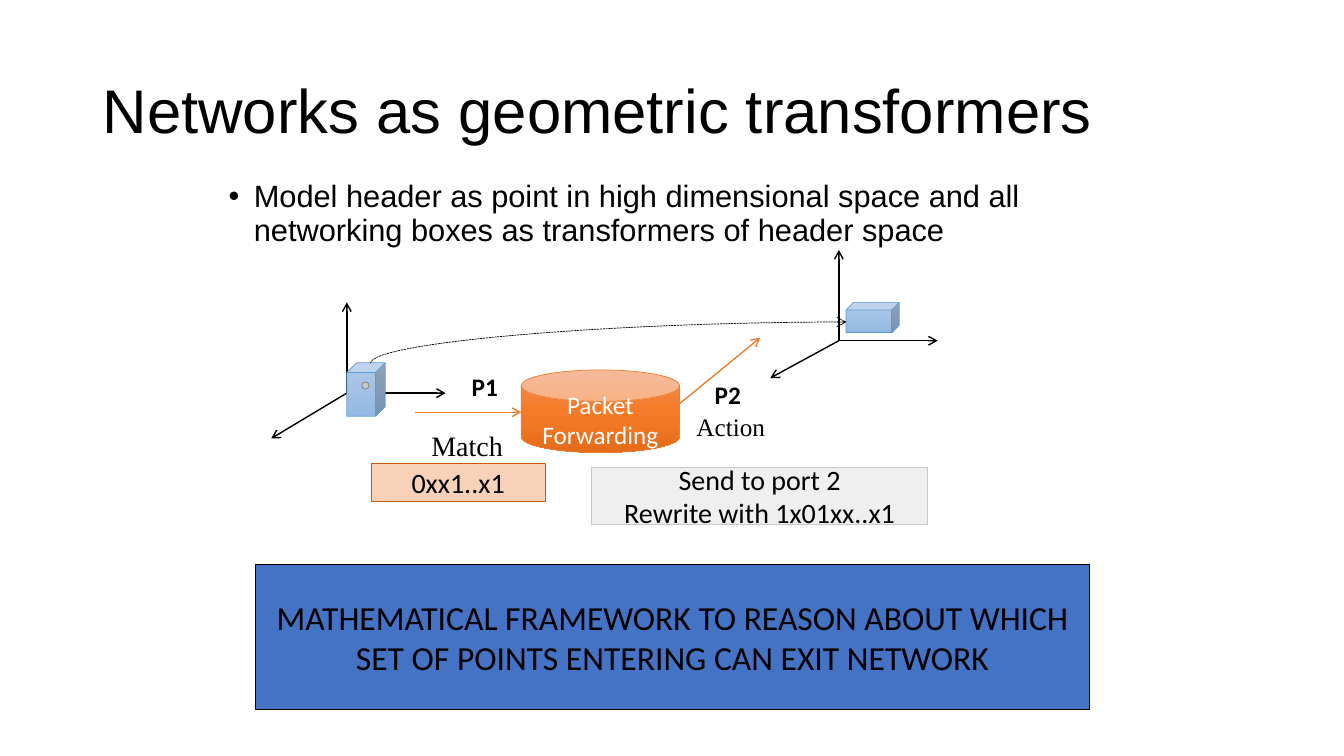
import copy
from dataclasses import dataclass

import pptx
import pptx.dml.color
import pptx.enum.dml
import pptx.enum.shapes
import pptx.enum.text
import pptx.oxml.ns
import pptx.shapes.autoshape
import pptx.shapes.connector
import pptx.slide
import pptx.text.text
import pptx.util
from lxml import etree

RGBColor = pptx.dml.color.RGBColor
Shape = pptx.enum.shapes.MSO_SHAPE
Anchor = pptx.enum.text.MSO_ANCHOR
Align = pptx.enum.text.PP_ALIGN
qn = pptx.oxml.ns.qn

BLACK = RGBColor(0x00, 0x00, 0x00)
WHITE = RGBColor(0xFF, 0xFF, 0xFF)
ORANGE = RGBColor(0xED, 0x7D, 0x31)
RUST = RGBColor(0xC5, 0x5A, 0x11)
PEACH = RGBColor(0xF8, 0xCB, 0xAD)
PALE_GRAY = RGBColor(0xED, 0xED, 0xED)
GRAY = RGBColor(0xC9, 0xC9, 0xC9)
DARK_GRAY = RGBColor(0x7C, 0x7C, 0x7C)
SKY = RGBColor(0x5B, 0x9B, 0xD5)
BLUE = RGBColor(0x44, 0x72, 0xC4)
ORANGE_BLEND = (RGBColor(0xF1, 0x8C, 0x57), RGBColor(0xF6, 0x7B, 0x28), RGBColor(0xE5, 0x6C, 0x19))
SKY_BLEND = (RGBColor(0xB1, 0xCB, 0xE9), RGBColor(0xA3, 0xC1, 0xE5), RGBColor(0x93, 0xB9, 0xE4))

EMU_PER_PX = 9144


@dataclass(frozen=True)
class Area:
    left: int
    top: int
    width: int
    height: int

    def emu(self) -> list[pptx.util.Emu]:
        return [px(n) for n in (self.left, self.top, self.width, self.height)]


@dataclass(frozen=True)
class Label:
    text: str
    size: int
    font: str = "Calibri"
    color: RGBColor = BLACK
    bold: bool = False
    wrap: bool = True


@dataclass(frozen=True)
class Block:
    kind: Shape
    area: Area
    fill: tuple[RGBColor, ...]
    outline: RGBColor
    label: Label | None = None
    weight: float = 0.5
    opacity: int = 100
    adjustment: float | None = None


@dataclass(frozen=True)
class Arrow:
    start: tuple[int, int]
    end: tuple[int, int]
    color: RGBColor = BLACK


@dataclass(frozen=True)
class Axes:
    x: int
    y: int
    slant: tuple[int, int]

    def arrows(self) -> list[Arrow]:
        steps = (self.slant, (0, -90), (98, 0))
        return [Arrow((self.x, self.y), (self.x + dx, self.y + dy)) for dx, dy in steps]


AXES = [Axes(344, 390, (-75, 45)), Axes(832, 338, (-68, 37))]
FLOWS = [Arrow((412, 409), (517, 409), ORANGE), Arrow((671, 403), (754, 335), ORANGE)]
MAPPING = Arrow((624, 576), (583, 104))
BLOCKS = [
    Block(Shape.CAN, Area(517, 367, 157, 82), ORANGE_BLEND, ORANGE,
          Label("Packet\nForwarding", 18, color=WHITE), adjustment=0.381),
    Block(Shape.CUBE, Area(344, 360, 38, 53), SKY_BLEND, SKY),
    Block(Shape.CUBE, Area(839, 300, 53, 30), SKY_BLEND, SKY),
    Block(Shape.RECTANGLE, Area(368, 460, 173, 37), (PEACH,), RUST,
          Label("0xx1..x1", 20), opacity=86),
    Block(Shape.RECTANGLE, Area(587, 464, 333, 56), (PALE_GRAY,), GRAY,
          Label("Send to port 2\nRewrite with 1x01xx..x1", 20), opacity=86),
    Block(Shape.OVAL, Area(359, 379, 7, 7), (GRAY,), DARK_GRAY),
    Block(Shape.RECTANGLE, Area(253, 560, 828, 144), (BLUE,), BLACK,
          Label("MATHEMATICAL FRAMEWORK TO REASON ABOUT WHICH\n"
                "SET OF POINTS ENTERING CAN EXIT NETWORK", 24, wrap=False), weight=0.75),
]
CAPTIONS = [
    (Area(418, 420, 96, 43), Label("Match", 20, "Times New Roman", wrap=False)),
    (Area(681, 403, 94, 39), Label("Action", 18, "Times New Roman", wrap=False)),
    (Area(458, 363, 46, 40), Label("P1", 18, bold=True, wrap=False)),
    (Area(699, 371, 46, 40), Label("P2", 18, bold=True, wrap=False)),
]
TITLE = Label("Networks as geometric transformers", 44, "Arial")
SUMMARY = Label("Model header as point in high dimensional space and all "
                "networking boxes as transformers of header space", 22, "Arial")


def px(length: int) -> pptx.util.Emu:
    return pptx.util.Emu(length * EMU_PER_PX)


def write_label(frame: pptx.text.text.TextFrame, label: Label, align: Align) -> None:
    frame.text = label.text
    frame.word_wrap = label.wrap
    for para in frame.paragraphs:
        para.alignment = align
        for span in para.runs:
            span.font.name = label.font
            span.font.size = pptx.util.Pt(label.size)
            span.font.bold = label.bold
            span.font.color.rgb = label.color


def add_text(page: pptx.slide.Slide, area: Area, label: Label) -> pptx.text.text.TextFrame:
    frame = page.shapes.add_textbox(*area.emu()).text_frame
    write_label(frame, label, Align.LEFT)
    return frame


def paint(shape: pptx.shapes.autoshape.Shape, block: Block) -> None:
    properties = shape._element.spPr
    if len(block.fill) == 1:
        shape.fill.solid()
        shape.fill.fore_color.rgb = block.fill[0]
        if block.opacity < 100:
            color = properties.find(qn("a:solidFill"))[0]
            etree.SubElement(color, qn("a:alpha")).set("val", str(block.opacity * 1000))
    else:
        shape.fill.gradient()
        shape.fill.gradient_angle = 270
        stop_list = properties.find(qn("a:gradFill")).find(qn("a:gsLst"))
        stop_list.insert(1, copy.deepcopy(stop_list[0]))
        for index, (stop, color) in enumerate(zip(shape.fill.gradient_stops, block.fill)):
            stop.color.rgb = color
            stop.position = index / 2


def add_block(page: pptx.slide.Slide, block: Block) -> None:
    shape = page.shapes.add_shape(block.kind, *block.area.emu())
    shape.shadow.inherit = False
    if block.adjustment is not None:
        shape.adjustments[0] = block.adjustment
    paint(shape, block)
    shape.line.color.rgb = block.outline
    shape.line.width = pptx.util.Pt(block.weight)
    if block.label:
        shape.text_frame.vertical_anchor = Anchor.MIDDLE
        write_label(shape.text_frame, block.label, Align.CENTER)


def add_arrow(page: pptx.slide.Slide, arrow: Arrow, weight: float = 1,
              kind: pptx.enum.shapes.MSO_CONNECTOR = pptx.enum.shapes.MSO_CONNECTOR.STRAIGHT,
              ) -> pptx.shapes.connector.Connector:
    ends = [px(n) for n in (*arrow.start, *arrow.end)]
    connector = page.shapes.add_connector(kind, *ends)
    connector.line.color.rgb = arrow.color
    connector.line.width = pptx.util.Pt(weight)
    etree.SubElement(connector.line._get_or_add_ln(), qn("a:tailEnd")).set("type", "arrow")
    etree.SubElement(connector._element.spPr, qn("a:effectLst"))
    return connector


def add_mapping(page: pptx.slide.Slide) -> None:
    curve = add_arrow(page, MAPPING, 0.5, pptx.enum.shapes.MSO_CONNECTOR.CURVE)
    curve.line.dash_style = pptx.enum.dml.MSO_LINE.SQUARE_DOT
    properties = curve._element.spPr
    properties.find(qn("a:xfrm")).set("rot", str(90 * 60000))
    properties.find(qn("a:prstGeom")).set("prst", "curvedConnector2")


def add_heading(page: pptx.slide.Slide) -> None:
    title = add_text(page, Area(92, 40, 1150, 145), TITLE)
    title.vertical_anchor = Anchor.MIDDLE
    title.paragraphs[0].line_spacing = 0.9
    summary = add_text(page, Area(217, 175, 817, 95), SUMMARY).paragraphs[0]
    properties = summary._p.get_or_add_pPr()
    properties.set("marL", str(px(25)))
    properties.set("indent", str(-px(25)))
    etree.SubElement(properties, qn("a:buFont")).set("typeface", "Arial")
    etree.SubElement(properties, qn("a:buChar")).set("char", "•")
    summary.line_spacing = 0.9


def main() -> None:
    deck = pptx.Presentation()
    deck.slide_width, deck.slide_height = px(1333), px(750)
    page = deck.slides.add_slide(deck.slide_layouts[6])
    add_heading(page)
    for arrow in [arrow for axes in AXES for arrow in axes.arrows()] + FLOWS:
        add_arrow(page, arrow)
    for block in BLOCKS:
        add_block(page, block)
    add_mapping(page)
    for area, label in CAPTIONS:
        add_text(page, area, label).auto_size = pptx.enum.text.MSO_AUTO_SIZE.SHAPE_TO_FIT_TEXT
    deck.save("out.pptx")


if __name__ == "__main__":
    main()
